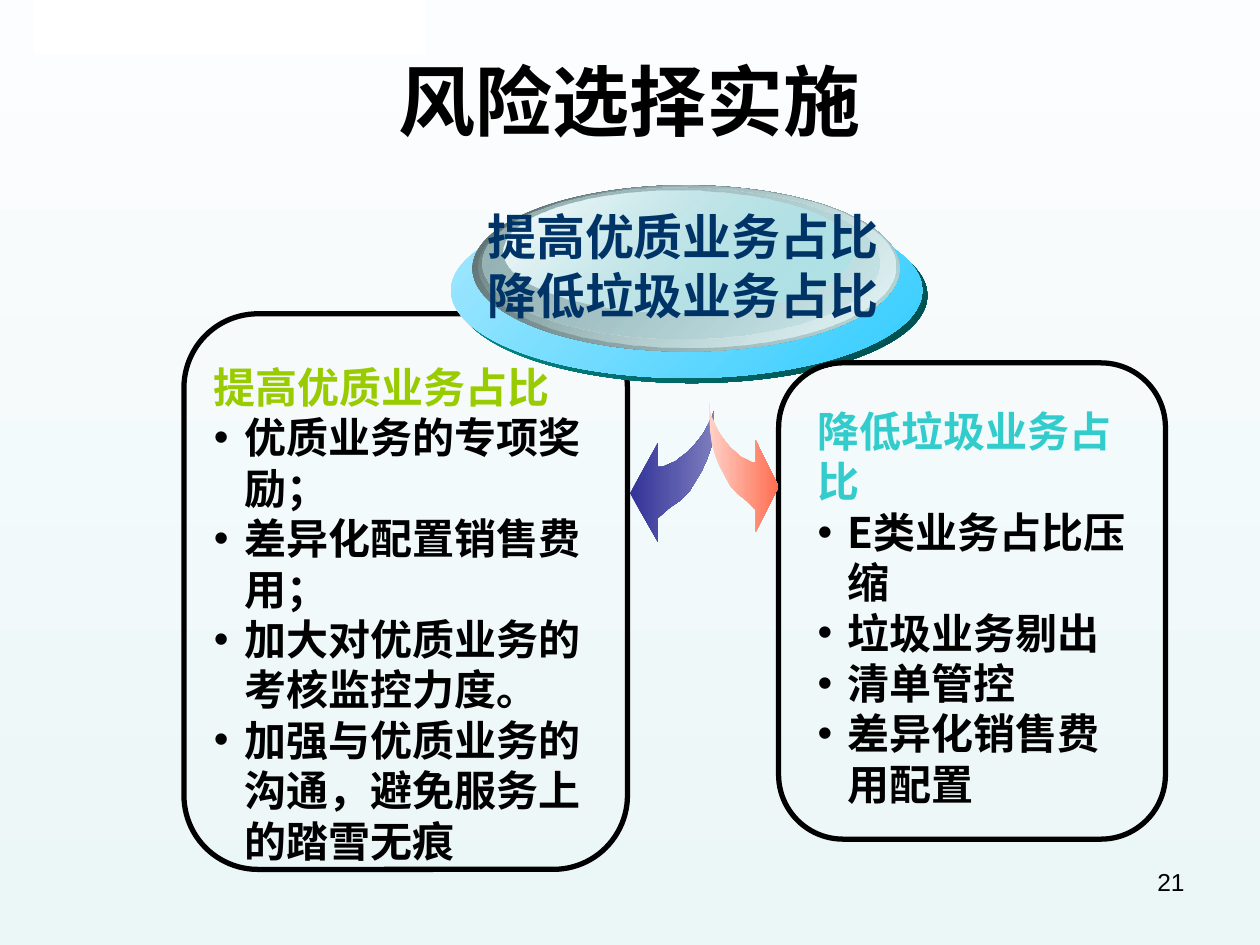
from lxml import etree
from pptx import Presentation
from pptx.dml.color import RGBColor
from pptx.enum import shapes, text
from pptx.oxml import ns
from pptx.util import Inches, Pt

CJK = "Noto Sans CJK SC"
COLORS = {
    "black": "000000", "white": "FFFFFF", "navy": "003366",
    "green": "99CC00", "turquoise": "33CCCC",
}
BACKGROUND = ("FCFDFE", "EBF6F7")
TITLE = "风险选择实施"
GOALS = ["提高优质业务占比", "降低垃圾业务占比"]
PAGE_NUMBER = "21"

RAISE = {
    "frame": (1.46, 2.49, 3.52, 4.41), "text_box": (1.6, 2.82, 3.14, 4.1),
    "color": "green", "heading": GOALS[0],
    "items": ["优质业务的专项奖励；", "差异化配置销售费用；",
              "加大对优质业务的考核监控力度。",
              "加强与优质业务的沟通，避免服务上的踏雪无痕"],
}
REDUCE = {
    "frame": (6.18, 2.88, 3.07, 3.78), "text_box": (6.39, 3.17, 2.74, 3.7),
    "color": "turquoise", "heading": GOALS[1],
    "items": ["E类业务占比压缩", "垃圾业务剔出", "清单管控", "差异化销售费用配置"],
}

# Ellipse layers, back to front: box, gradient ends, opacity of each end (%)
DISC = [
    ((3.62, 1.65, 3.74, 1.39), ("009999", "004A4A"), (100, 100)),
    ((3.58, 1.61, 3.74, 1.39), ("A5E8FF", "33CCFF"), (100, 100)),
    ((3.75, 1.47, 3.39, 1.32), ("576869", "BBE0E3"), (100, 100)),
    ((3.8, 1.47, 3.31, 1.29), ("BBE0E3", "E7F4F5"), (0, 100)),
    ((3.83, 1.49, 3.15, 1.2), ("94B1B4", "BBE0E3"), (100, 48)),
    ((4, 1.51, 2.77, 0.97), ("FFFFFF", "91E6ED"), (100, 38)),
]

# Curved arrow from its tail, as fractions of its width and height
ARROW = [
    (0, 0), (0, .11), (.01, .22), (.04, .32), (.09, .41), (.15, .49),
    (.22, .56), (.3, .64), (.4, .7), (.54, .76), (.67, .83), (.67, 1),
    (1, .65), (.67, .29), (.67, .46), (.61, .46), (.54, .44), (.46, .42),
    (.4, .39), (.31, .35), (.25, .31), (.18, .26), (.12, .21), (.07, .15),
    (.03, .1), (0, .05),
]


def rgb(name):
    return RGBColor.from_string(COLORS[name])


def fill_gradient(fill, ends, angle):
    """Two-colour gradient; the angle runs clockwise from left to right."""
    fill.gradient()
    fill.gradient_angle = -angle % 360
    for position, (stop, color) in enumerate(zip(fill.gradient_stops, ends)):
        stop.position = position
        stop.color.rgb = RGBColor.from_string(color)


def set_opacity(shape, percents):
    colors = shape._element.spPr.iter(ns.qn("a:srgbClr"))
    for color, percent in zip(colors, percents):
        if percent < 100:
            alpha = etree.SubElement(color, ns.qn("a:alpha"))
            alpha.set("val", str(percent * 1000))


def add_shape(slide, kind, box):
    shape = slide.shapes.add_shape(kind, *map(Inches, box))
    shape.shadow.inherit = False
    shape.line.fill.background()
    return shape


def add_bullet(paragraph, indent=0.24):
    properties = paragraph._p.get_or_add_pPr()
    properties.set("marL", str(Inches(indent)))
    properties.set("indent", str(-Inches(indent)))
    font = etree.SubElement(properties, ns.qn("a:buFont"))
    font.set("typeface", "Arial")
    etree.SubElement(properties, ns.qn("a:buChar")).set("char", "•")


def add_text(slide, box, lines, size, color="black", font=CJK, bold=True,
             align=text.PP_ALIGN.LEFT, anchor=text.MSO_ANCHOR.TOP,
             bullets=False, heading_color=None):
    """Text box with one paragraph a line; a heading takes no bullet."""
    frame = slide.shapes.add_textbox(*map(Inches, box)).text_frame
    frame.word_wrap = True
    frame.vertical_anchor = anchor
    for number, line in enumerate(lines):
        paragraph = frame.paragraphs[0] if number == 0 else frame.add_paragraph()
        is_heading = heading_color and number == 0
        paragraph.alignment = align
        if font == CJK:
            paragraph.line_spacing = Pt(size * 1.2)
        if bullets and not is_heading:
            add_bullet(paragraph)
        run = paragraph.add_run()
        run.text = line
        run.font.size = Pt(size)
        run.font.bold = bold
        run.font.name = font
        run.font.color.rgb = rgb(heading_color if is_heading else color)
        east_asian = etree.SubElement(run.font._element, ns.qn("a:ea"))
        east_asian.set("typeface", CJK)


def add_panel(slide, panel):
    frame = add_shape(slide, shapes.MSO_SHAPE.ROUNDED_RECTANGLE, panel["frame"])
    frame.fill.background()
    frame.line.color.rgb = rgb("black")
    frame.line.width = Pt(3)
    add_text(slide, panel["text_box"], [panel["heading"]] + panel["items"], 24,
             bullets=True, heading_color=panel["color"])


def add_arrow(slide, tail, width, height, ends):
    """Curved arrow; a negative width points it to the left."""
    points = [(Inches(tail[0] + x * width), Inches(tail[1] + y * height))
              for x, y in ARROW]
    builder = slide.shapes.build_freeform(*points[0])
    builder.add_line_segments(points[1:], close=True)
    arrow = builder.convert_to_shape()
    arrow.shadow.inherit = False
    arrow.line.fill.background()
    fill_gradient(arrow.fill, ends, 0)


def add_disc(slide):
    for box, ends, opacities in DISC:
        layer = add_shape(slide, shapes.MSO_SHAPE.OVAL, box)
        fill_gradient(layer.fill, ends, 45)
        set_opacity(layer, opacities)
    add_text(slide, (3.5, 1.59, 3.84, 1.04), GOALS, 28, color="navy",
             align=text.PP_ALIGN.CENTER)


def main():
    presentation = Presentation()
    presentation.slide_width = Inches(10)
    presentation.slide_height = Inches(7.5)
    slide = presentation.slides.add_slide(presentation.slide_layouts[6])
    fill_gradient(slide.background.fill, BACKGROUND, 90)

    corner = add_shape(slide, shapes.MSO_SHAPE.RECTANGLE, (0.27, 0, 3.11, 0.44))
    corner.fill.solid()
    corner.fill.fore_color.rgb = rgb("white")
    add_text(slide, (0.5, 0.3, 9, 0.98), [TITLE], 44, font="Arial",
             align=text.PP_ALIGN.CENTER, anchor=text.MSO_ANCHOR.MIDDLE)

    add_panel(slide, RAISE)
    add_arrow(slide, (5.67, 3.2), -0.67, 1.1, ("333399", "7D7DBE"))
    add_disc(slide)
    add_panel(slide, REDUCE)
    add_arrow(slide, (5.63, 3.2), 0.55, 1.02, ("FFD1C7", "FE6D50"))
    add_text(slide, (7.17, 6.83, 2.33, 0.52), [PAGE_NUMBER], 14, font="Arial",
             bold=False, align=text.PP_ALIGN.RIGHT)
    presentation.save("out.pptx")


if __name__ == "__main__":
    main()
